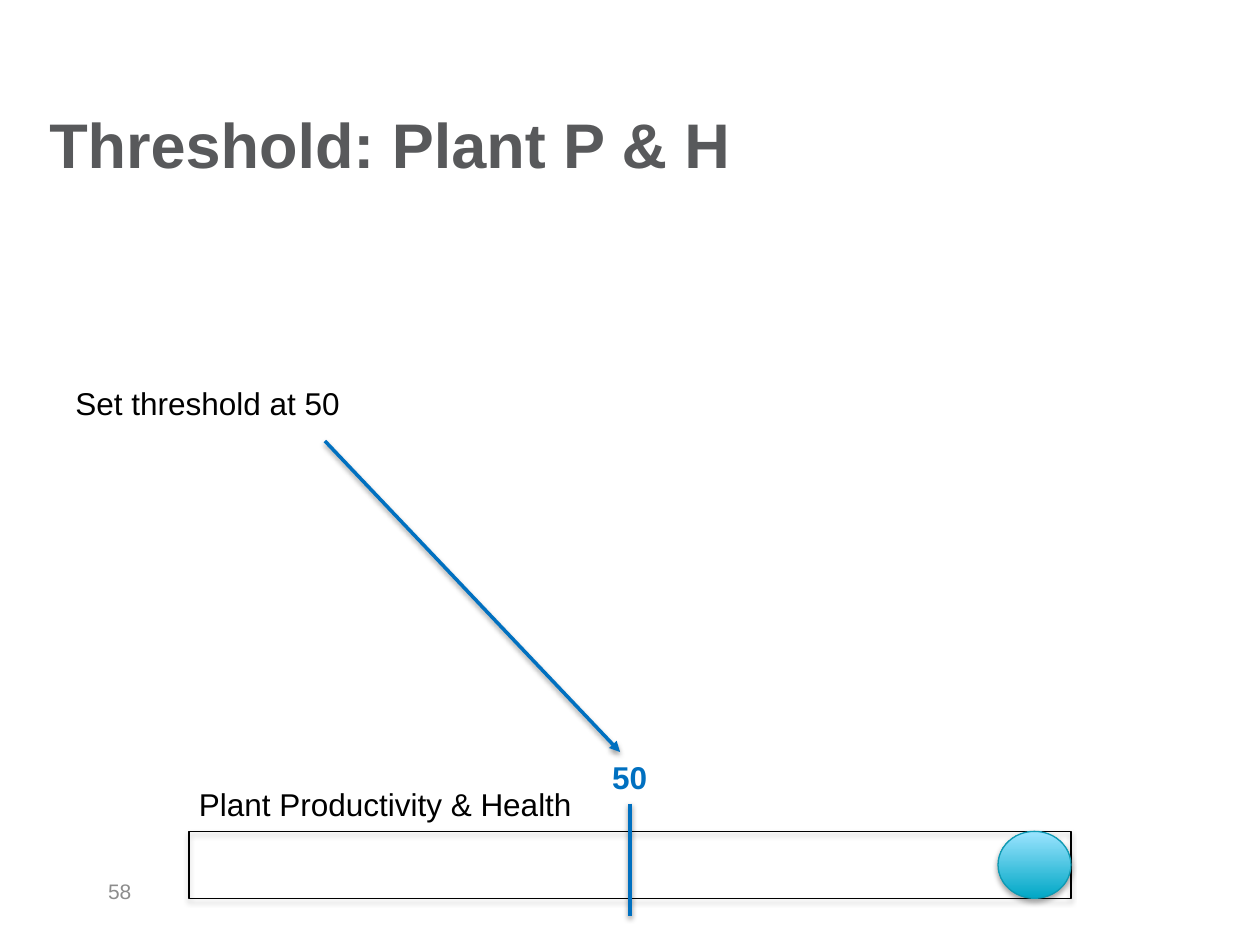
from lxml import etree
from pptx import Presentation
from pptx import util as u
from pptx.dml.color import RGBColor
from pptx.enum import shapes, text
from pptx.oxml import ns

COLORS = {
    "title": "58595B",
    "text": "000000",
    "number": "8C8C8C",
    "threshold": "0070C0",
    "ball_dark": "00A7C5",
    "ball_light": "9BE4FF",
    "ball_line": "0F99B2",
}
TEXT_HEIGHT = 1.02


def color(name):
    return RGBColor.from_string(COLORS[name])


def box(left, top, width, height):
    return [u.Cm(length) for length in (left, top, width, height)]


def write(shape, words, size, color_name, bold=False):
    frame = shape.text_frame
    frame.text = words
    paragraph = frame.paragraphs[0]
    paragraph.alignment = text.PP_ALIGN.LEFT
    font = paragraph.font
    font.name = "Arial"
    font.size = u.Pt(size)
    font.bold = bold
    font.color.rgb = color(color_name)
    return frame


def add_label(slide, area, words, size=18, color_name="text", bold=False, wrap=True):
    label = slide.shapes.add_textbox(*box(*area))
    frame = write(label, words, size, color_name, bold)
    frame.word_wrap = wrap
    return frame


def add_shadow(shape, distance, opacity):
    effects = etree.SubElement(shape._element.spPr, ns.qn("a:effectLst"))
    shadow = etree.SubElement(
        effects, ns.qn("a:outerShdw"), blurRad=str(u.Pt(3.1)),
        dist=str(u.Pt(distance)), dir="5400000", rotWithShape="0")
    black = etree.SubElement(shadow, ns.qn("a:srgbClr"), val="000000")
    etree.SubElement(black, ns.qn("a:alpha"), val=str(opacity * 1000))


def add_line(slide, start, end, width, arrow=False):
    line = slide.shapes.add_connector(
        shapes.MSO_CONNECTOR.STRAIGHT, *box(*start, *end))
    line.line.color.rgb = color("threshold")
    line.line.width = u.Pt(width)
    if arrow:
        etree.SubElement(line.line._get_or_add_ln(), ns.qn("a:tailEnd"), type="triangle")
    add_shadow(line, 1.6, 38)


def add_outlined(slide, kind, area, line_color):
    shape = slide.shapes.add_shape(kind, *box(*area))
    shape.fill.background()
    shape.line.color.rgb = color(line_color)
    shape.line.width = u.Pt(0.75)
    add_shadow(shape, 1.8, 35)
    return shape


def place_title(slide, left, top, width, height):
    title = slide.shapes.title
    title.left, title.top, title.width, title.height = box(left, top, width, height)
    frame = write(title, "Threshold: Plant P & H", 36, "title", bold=True)
    frame.vertical_anchor = text.MSO_ANCHOR.MIDDLE


def place_number(slide, left, top, width, height):
    frame = add_label(slide, (left, top, width, height), "58", 12, "number")
    frame.vertical_anchor = text.MSO_ANCHOR.MIDDLE


def place_scale(slide, left, top, width, height):
    middle = left + width / 2
    ball_width = 1.47
    add_outlined(slide, shapes.MSO_SHAPE.RECTANGLE, (left, top, width, height), "text")
    add_label(slide, (left - 0.05, top - 1.06, 8.1, TEXT_HEIGHT),
              "Plant Productivity & Health", wrap=False)
    add_line(slide, (middle, top - 0.56), (middle, top + height + 0.36), 2.5)
    add_label(slide, (middle - 0.61, top - 1.6, 1.22, TEXT_HEIGHT),
              "50", color_name="threshold", bold=True, wrap=False)
    ball = add_outlined(slide, shapes.MSO_SHAPE.OVAL,
                        (left + width - ball_width, top, ball_width, height), "ball_line")
    ball.fill.gradient()
    ball.fill.gradient_angle = 90
    for stop, name in zip(ball.fill.gradient_stops, ("ball_dark", "ball_light")):
        stop.color.rgb = color(name)


def place_callout(slide, left, top, width, height):
    add_label(slide, (left, top, 5.92, TEXT_HEIGHT), "Set threshold at 50")
    add_line(slide, (left + 5.28, top + 1.27), (left + width, top + height), 2, arrow=True)


def main():
    presentation = Presentation()
    presentation.slide_width = u.Cm(25.4)
    presentation.slide_height = u.Cm(19.05)
    slide = presentation.slides.add_slide(presentation.slide_layouts[5])
    place_title(slide, 0.74, 1.57, 22.86, 2.62)
    place_number(slide, 1.93, 17.45, 5.92, TEXT_HEIGHT)
    place_scale(slide, 3.81, 16.76, 17.78, 1.35)
    place_callout(slide, 1.27, 7.62, 11.23, 7.54)
    presentation.save("out.pptx")


if __name__ == "__main__":
    main()
